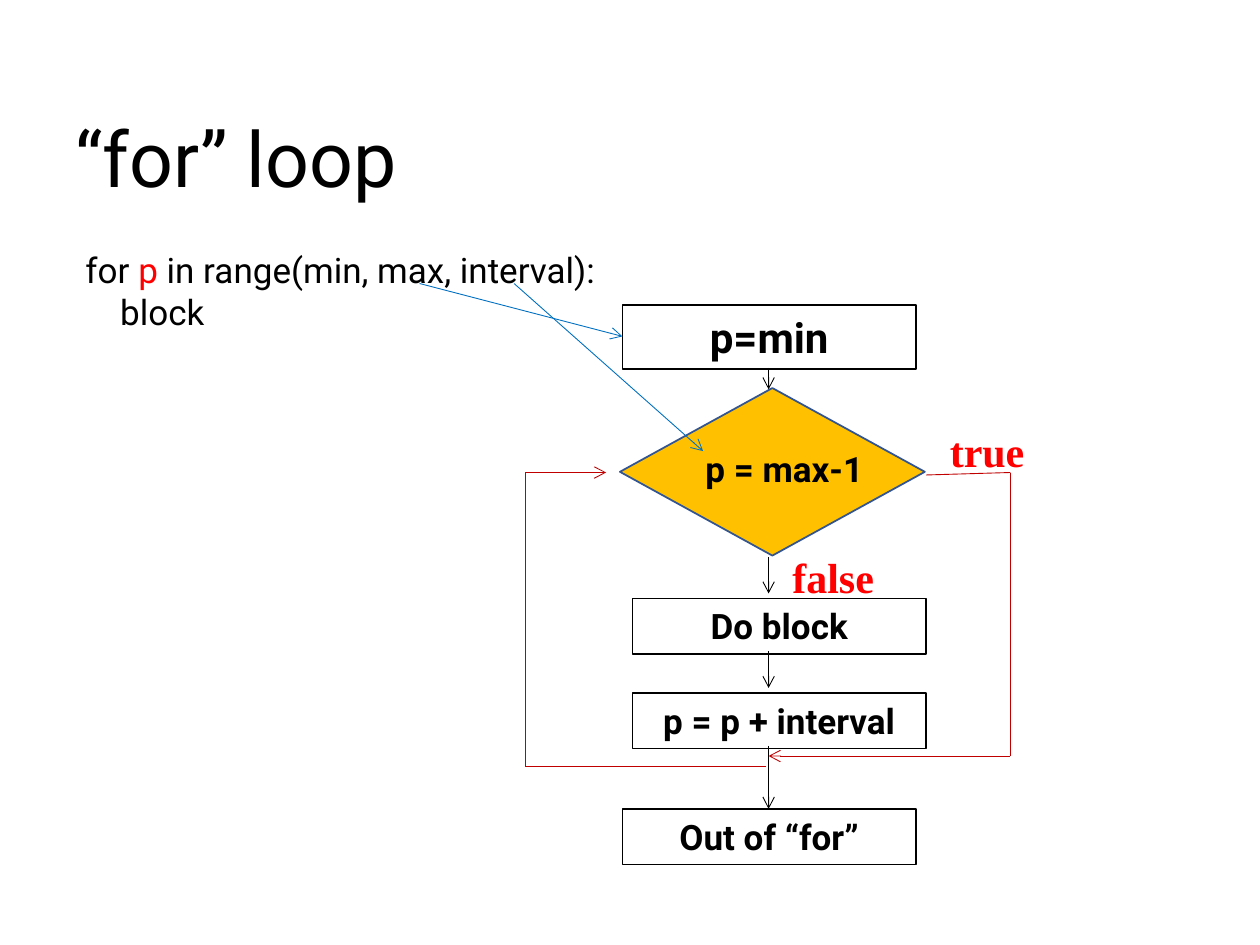
"""Build a slide that explains the "for" loop with a flowchart."""
from itertools import pairwise

from lxml.etree import SubElement
from pptx import Presentation
from pptx.dml.color import RGBColor
from pptx.enum.shapes import MSO_CONNECTOR, MSO_SHAPE
from pptx.enum.text import MSO_ANCHOR, MSO_AUTO_SIZE, PP_ALIGN
from pptx.oxml.ns import qn
from pptx.util import Inches, Pt

BLACK = RGBColor(0x00, 0x00, 0x00)
RED = RGBColor(0xFF, 0x00, 0x00)
DARK_RED = RGBColor(0xC0, 0x00, 0x00)
BLUE = RGBColor(0x00, 0x70, 0xC0)
NAVY = RGBColor(0x32, 0x54, 0x91)
GOLD = RGBColor(0xFF, 0xC0, 0x00)
BODY_FONT = "Roboto"
LABEL_FONT = "Times New Roman"


class FlowSlide:
    def __init__(self, slide):
        self.slide = slide

    def format_runs(self, paragraph, size, color=BLACK, bold=False, font=BODY_FONT):
        for run in paragraph.runs:
            run.font.name = font
            run.font.size = Pt(size)
            run.font.bold = bold
            run.font.color.rgb = color

    def title(self, text, *bounds):
        shape = self.slide.shapes.title
        shape.left, shape.top, shape.width, shape.height = map(Inches, bounds)
        frame = shape.text_frame
        frame.text = text
        frame.auto_size = MSO_AUTO_SIZE.NONE
        frame.vertical_anchor = MSO_ANCHOR.TOP
        frame.paragraphs[0].alignment = PP_ALIGN.LEFT
        self.format_runs(frame.paragraphs[0], 44)

    def text_box(self, text, *bounds):
        frame = self.slide.shapes.add_textbox(*map(Inches, bounds)).text_frame
        frame.word_wrap = True
        frame.auto_size = MSO_AUTO_SIZE.SHAPE_TO_FIT_TEXT
        frame.text = text
        return frame

    def label(self, text, *bounds, size=24, color=RED, font=LABEL_FONT):
        frame = self.text_box(text, *bounds)
        self.format_runs(frame.paragraphs[0], size, color, True, font)

    def code(self, lines, variable, *bounds):
        frame = self.text_box("\n".join(lines), *bounds)
        first = frame.paragraphs[0]
        before, after = lines[0].split(variable, 1)
        first.text = before
        first.add_run().text = variable
        first.add_run().text = after
        for paragraph in frame.paragraphs:
            self.format_runs(paragraph, 20)
        first.runs[1].font.color.rgb = RED

    def shape(self, kind, bounds, line_color, line_width):
        shape = self.slide.shapes.add_shape(kind, *map(Inches, bounds))
        shape.shadow.inherit = False
        shape.fill.background()
        shape.line.color.rgb = line_color
        shape.line.width = Pt(line_width)
        return shape

    def step(self, text, left, top, height=0.44, size=20):
        bounds = (left, top, 2.33, height)
        frame = self.shape(MSO_SHAPE.RECTANGLE, bounds, BLACK, 0.75).text_frame
        frame.word_wrap = True
        frame.auto_size = MSO_AUTO_SIZE.SHAPE_TO_FIT_TEXT
        frame.vertical_anchor = MSO_ANCHOR.TOP
        frame.text = text
        frame.paragraphs[0].alignment = PP_ALIGN.CENTER
        self.format_runs(frame.paragraphs[0], size, bold=True)

    def decision(self, *bounds):
        shape = self.shape(MSO_SHAPE.FLOWCHART_DECISION, bounds, NAVY, 1)
        shape.fill.solid()
        shape.fill.fore_color.rgb = GOLD

    def arrow(self, points, color):
        for start, end in pairwise(points):
            connector = self.slide.shapes.add_connector(
                MSO_CONNECTOR.STRAIGHT, *map(Inches, start + end))
            connector.line.color.rgb = color
            connector.line.width = Pt(0.5)
            properties = connector._element.spPr
            SubElement(properties, qn("a:effectLst"))
        SubElement(properties.find(qn("a:ln")), qn("a:tailEnd"), type="arrow")


def main():
    presentation = Presentation()
    presentation.slide_width = Inches(10)
    presentation.slide_height = Inches(7.5)
    flow = FlowSlide(presentation.slides.add_slide(presentation.slide_layouts[5]))

    flow.title("“for” loop", 0.5, 0.83, 9, 1.25)
    flow.step("p=min", 4.94, 2.42, height=0.51, size=24)
    flow.decision(4.92, 3.08, 2.42, 1.33)
    flow.label("p = max-1", 5.5, 3.5, 1.6, 0.44,
               size=20, color=BLACK, font=BODY_FONT)
    flow.step("Do block", 5.02, 4.75)
    flow.step("p = p + interval", 5.02, 5.5)
    flow.step("Out of “for”", 4.94, 6.42)

    center = 6.1
    for top, bottom in ((2.92, 3.09), (4.42, 4.71), (5.17, 5.46), (5.92, 6.42)):
        flow.arrow([(center, top), (center, bottom)], BLACK)
    flow.arrow([(7.35, 3.77), (8.02, 3.75), (8.02, 6), (center, 6)], DARK_RED)
    flow.arrow([(6.08, 6.08), (4.17, 6.08), (4.17, 3.75), (4.81, 3.75)], DARK_RED)

    flow.label("true", 7.44, 3.33, 0.83, 0.51)
    flow.label("false", 6.19, 4.33, 1.06, 0.51)
    flow.code(["for p in range(min, max, interval):", "    block"], " p ",
              0.58, 1.92, 4.25, 0.77)
    flow.arrow([(3.33, 2.25), (4.94, 2.67)], BLUE)
    flow.arrow([(4.08, 2.25), (5.58, 3.58)], BLUE)

    presentation.save("out.pptx")


if __name__ == "__main__":
    main()
